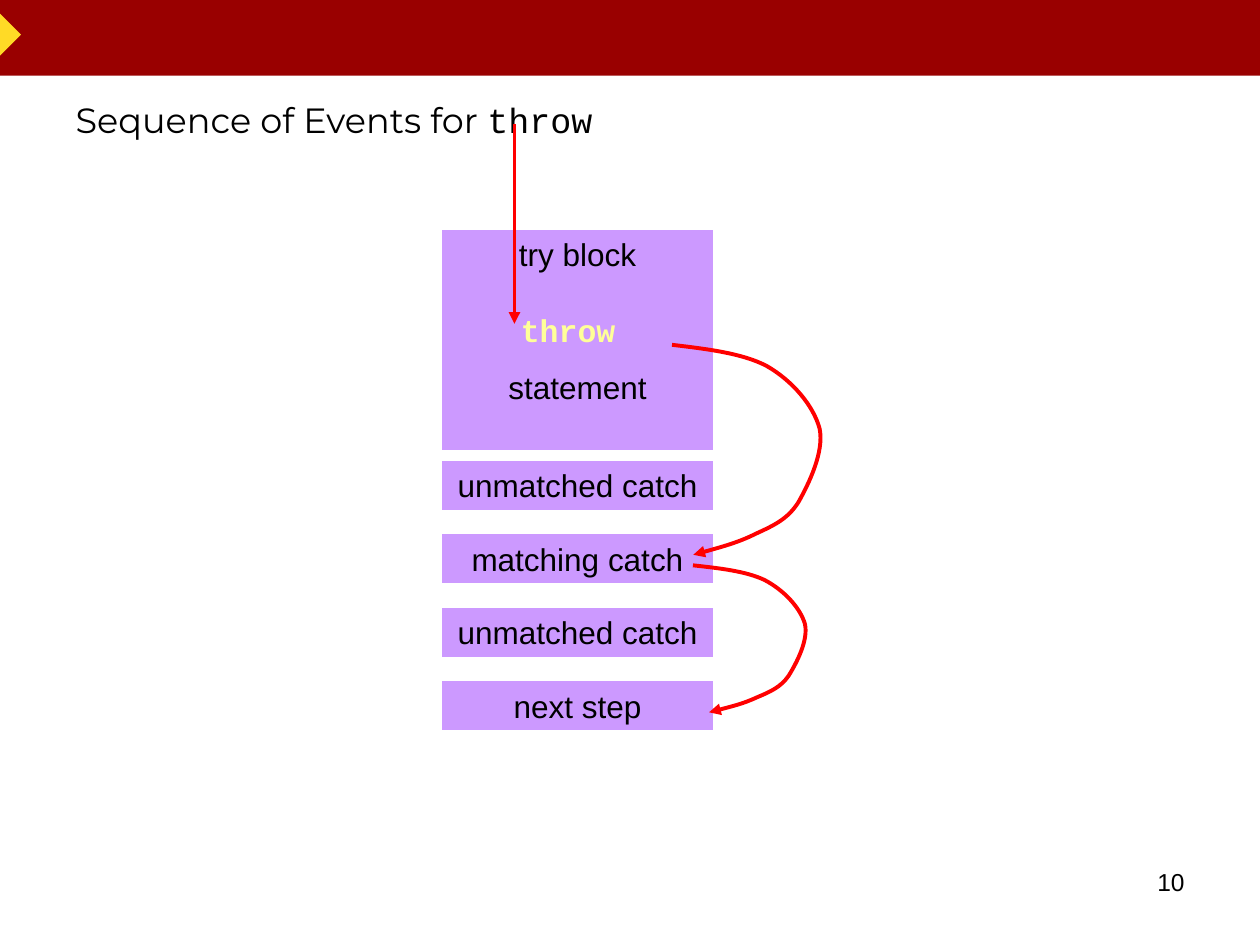
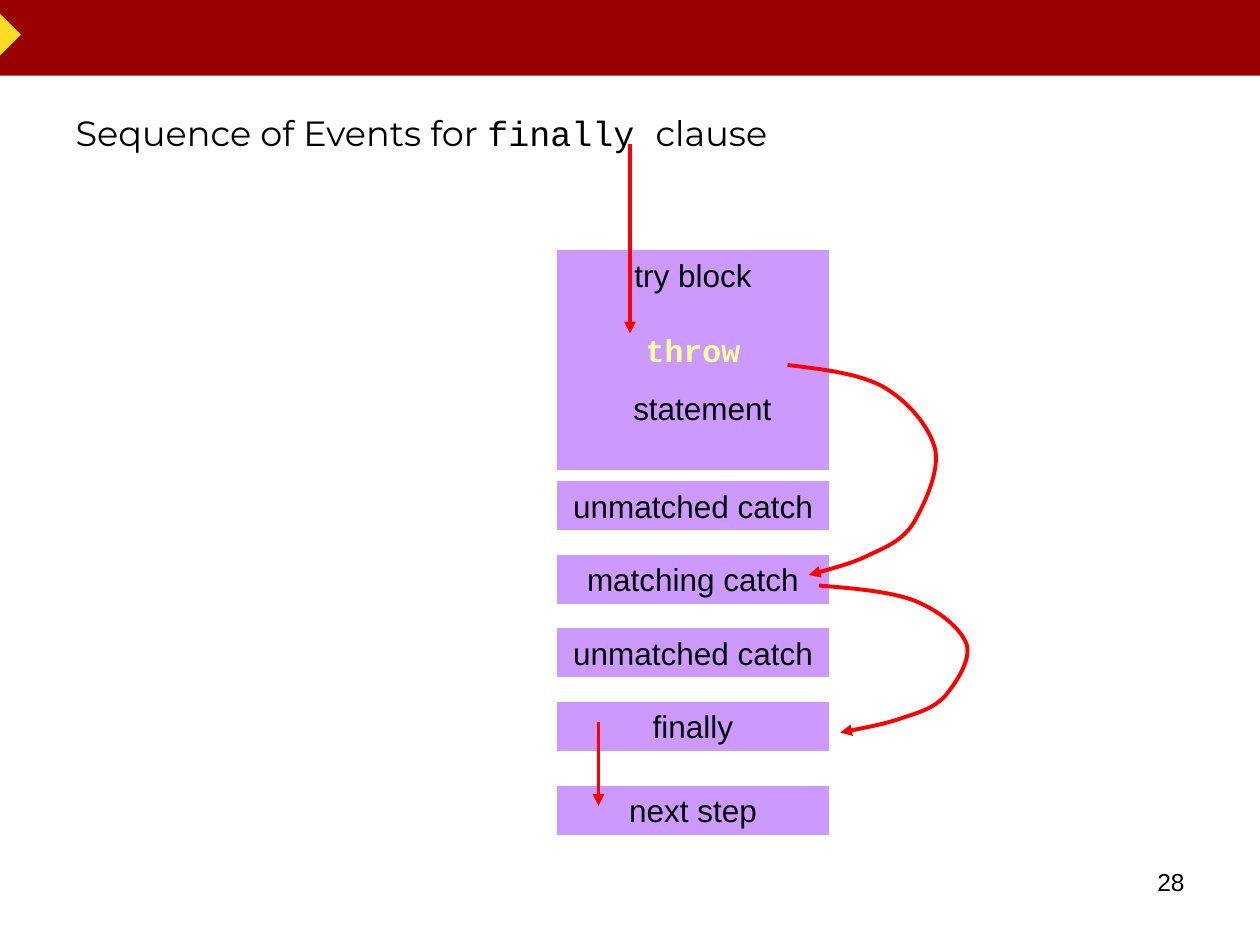
from copy import deepcopy
from dataclasses import dataclass
from typing import Any

from lxml.etree import SubElement
from pptx import Presentation
from pptx.dml.color import RGBColor
from pptx.enum.shapes import MSO_CONNECTOR, MSO_SHAPE
from pptx.enum.text import MSO_ANCHOR, MSO_AUTO_SIZE, PP_ALIGN
from pptx.oxml.ns import qn
from pptx.util import Inches, Pt

# Grid: 120 columns by 90 rows of equal squares
SLIDE_WIDTH, SLIDE_HEIGHT = Inches(10), Inches(7.5)
COLUMNS = 120

BAND_RED = RGBColor(0x99, 0x00, 0x00)
MARKER_YELLOW = RGBColor(0xFF, 0xDA, 0x26)
STEP_PURPLE = RGBColor(0xCC, 0x99, 0xFF)
KEYWORD_YELLOW = RGBColor(0xFF, 0xFF, 0x99)
FLOW_RED = RGBColor(0xFF, 0x00, 0x00)
BLACK = RGBColor(0x00, 0x00, 0x00)
WHITE = RGBColor(0xFF, 0xFF, 0xFF)

# Text formats
HEADING = {"name": "Montserrat", "size": Pt(20), "color": BLACK}
HEADING_CODE = HEADING | {"name": "Courier New"}
LABEL = {"name": "Arial", "size": Pt(18), "color": BLACK}
KEYWORD = {"name": "Courier New", "size": Pt(18), "color": KEYWORD_YELLOW, "bold": True}
PAGE_NUMBER = {"name": "Arial", "size": Pt(14), "color": BLACK}

# Step stack, in rows
TRY_HEIGHT, STEP_HEIGHT, STEP_WIDTH = 21.1, 4.8, 26
FIRST_CATCH, STEP_PITCH = 22, 7
CATCHES = ("unmatched catch", "matching catch", "unmatched catch")

# Jump curve as shares of its width and height: a start, then Bezier triples
JUMP = (
    (0, 0),
    (0.23, 0.02), (0.46, 0.04), (0.62, 0.10),
    (0.79, 0.17), (0.93, 0.29), (0.97, 0.40),
    (1, 0.51), (0.90, 0.66), (0.83, 0.75),
    (0.76, 0.83), (0.67, 0.86), (0.55, 0.90),
    (0.44, 0.94), (0.29, 0.97), (0.14, 1),
)

Run = tuple[str, dict[str, Any]]
Paragraph = list[Run]


@dataclass(frozen=True)
class Area:
    left: float
    top: float
    width: float
    height: float

    def emu(self) -> tuple[int, ...]:
        return tuple(grid(n) for n in (self.left, self.top, self.width, self.height))


@dataclass(frozen=True)
class EventSlide:
    number: str
    heading: Paragraph
    heading_area: Area
    left: float
    top: float
    try_text: list[Paragraph]
    later_steps: dict[str, float]  # label -> row below the stack's top
    drops: list[tuple[float, float, float]]  # column, start row, end row
    jumps: list[Area]


EVENT_SLIDES = [
    EventSlide(
        "10",
        [("Sequence of Events for ", HEADING), ("throw", HEADING_CODE)],
        Area(6, 6.5, 110, 9.8),
        42, 21.84,
        [[("try block\n\n", LABEL), ("throw ", KEYWORD)], [("statement\n", LABEL)]],
        {"next step": 43},
        [(7, -10, 9)],
        [Area(22, 11, 14.5, 20), Area(24, 32, 11, 14)],
    ),
    EventSlide(
        "28",
        [("Sequence of Events for ", HEADING), ("finally ", HEADING_CODE), ("clause", HEADING)],
        Area(6, 3.2, 110, 18.8),
        53, 23.76,
        [[("try block\n\n", LABEL), ("throw", KEYWORD)],
         [(" ", KEYWORD), ("statement\n", LABEL)]],
        {"finally": 43, "next step": 51},
        [(7, -10, 8), (4, 45, 53)],
        [Area(22, 11, 14.5, 20), Area(25, 32, 14.5, 14)],
    ),
]


def grid(count: float) -> int:
    return round(count * SLIDE_WIDTH / COLUMNS)


def write(holder, paragraphs: list[Paragraph], align, anchor, before=Pt(0)) -> None:
    frame = holder.text_frame
    settings = {"word_wrap": True, "auto_size": MSO_AUTO_SIZE.NONE, "vertical_anchor": anchor}
    for name, value in settings.items():
        setattr(frame, name, value)
    for index, runs in enumerate(paragraphs):
        paragraph = frame.add_paragraph() if index else frame.paragraphs[0]
        paragraph.alignment, paragraph.space_before = align, before
        for text, style in runs:
            for line_index, line in enumerate(text.split("\n")):
                if line_index:
                    paragraph.add_line_break()
                if line:
                    run = paragraph.add_run()
                    run.text = line
                    for name, value in style.items():
                        if name == "color":
                            run.font.color.rgb = value
                        else:
                            setattr(run.font, name, value)
    # Line breaks take the format of the first run
    first_format = holder.element.find(".//" + qn("a:rPr"))
    for line_break in holder.element.iter(qn("a:br")):
        line_break.append(deepcopy(first_format))


def add_block(slide, kind, area: Area, fill: RGBColor, outline: RGBColor | None = None):
    block = slide.shapes.add_shape(kind, *area.emu())
    block.shadow.inherit = False
    block.fill.solid()
    block.fill.fore_color.rgb = fill
    if outline is None:
        block.line.fill.background()
    else:
        block.line.color.rgb, block.line.width = outline, Pt(0.75)
    return block


def add_step(slide, area: Area, paragraphs: list[Paragraph]) -> None:
    step = add_block(slide, MSO_SHAPE.RECTANGLE, area, STEP_PURPLE, WHITE)
    write(step, paragraphs, PP_ALIGN.CENTER, MSO_ANCHOR.TOP, Pt(11.2))


def style_arrow(arrow) -> None:
    arrow.line.color.rgb, arrow.line.width = FLOW_RED, Pt(2.25)
    outline = arrow.element.find(".//" + qn("a:ln"))
    SubElement(outline, qn("a:tailEnd"), type="triangle")
    SubElement(outline.getparent(), qn("a:effectLst"))


def add_drop(slide, column: float, start: float, end: float) -> None:
    x = grid(column)
    style_arrow(slide.shapes.add_connector(MSO_CONNECTOR.STRAIGHT, x, grid(start), x, grid(end)))


def add_jump(slide, area: Area) -> None:
    start, *rest = [(grid(area.left + x * area.width), grid(area.top + y * area.height))
                    for x, y in JUMP]
    builder = slide.shapes.build_freeform(*start)
    builder.add_line_segments(rest, close=False)
    jump = builder.convert_to_shape()
    jump.fill.background()
    # Join every three segments into one Bezier curve
    outline = jump.element.find(".//" + qn("a:path"))
    segments = outline.findall(qn("a:lnTo"))
    for index in range(0, len(segments), 3):
        curve = SubElement(outline, qn("a:cubicBezTo"))
        for segment in segments[index:index + 3]:
            curve.append(segment[0])
            outline.remove(segment)
    style_arrow(jump)


def add_band_to_master(slide, master) -> None:
    band = add_block(slide, MSO_SHAPE.RECTANGLE, Area(0, 0, COLUMNS, 7.2), BAND_RED)
    marker = add_block(slide, MSO_SHAPE.ISOSCELES_TRIANGLE, Area(-1, 2.3, 4, 2), MARKER_YELLOW)
    marker.rotation = 90
    for index, part in enumerate((band, marker)):
        part.element.nvSpPr.cNvPr.set("id", str(101 + index))
        master.shapes.element.insert(2 + index, part.element)


def draw_events(slide, events: EventSlide) -> None:
    # Heading and page number
    title = slide.shapes.title
    title.left, title.top, title.width, title.height = events.heading_area.emu()
    write(title, [events.heading], PP_ALIGN.LEFT, MSO_ANCHOR.MIDDLE)
    page = slide.shapes.add_textbox(*Area(86, 82, 28, 6.2).emu())
    write(page, [[(events.number, PAGE_NUMBER)]], PP_ALIGN.RIGHT, MSO_ANCHOR.TOP)

    # Try block and the steps below it
    left, top = events.left, events.top
    add_step(slide, Area(left, top, STEP_WIDTH, TRY_HEIGHT), events.try_text)
    steps = [(label, FIRST_CATCH + i * STEP_PITCH) for i, label in enumerate(CATCHES)]
    for label, row in steps + list(events.later_steps.items()):
        add_step(slide, Area(left, top + row, STEP_WIDTH, STEP_HEIGHT), [[(label, LABEL)]])

    # Flow of control
    for column, start, end in events.drops:
        add_drop(slide, left + column, top + start, top + end)
    for jump in events.jumps:
        add_jump(slide, Area(left + jump.left, top + jump.top, jump.width, jump.height))


def main() -> None:
    deck = Presentation()
    deck.slide_width, deck.slide_height = SLIDE_WIDTH, SLIDE_HEIGHT
    title_only = deck.slide_layouts[5]
    for index, events in enumerate(EVENT_SLIDES):
        slide = deck.slides.add_slide(title_only)
        if index == 0:
            add_band_to_master(slide, deck.slide_master)
        draw_events(slide, events)
    deck.save("out.pptx")


if __name__ == "__main__":
    main()
